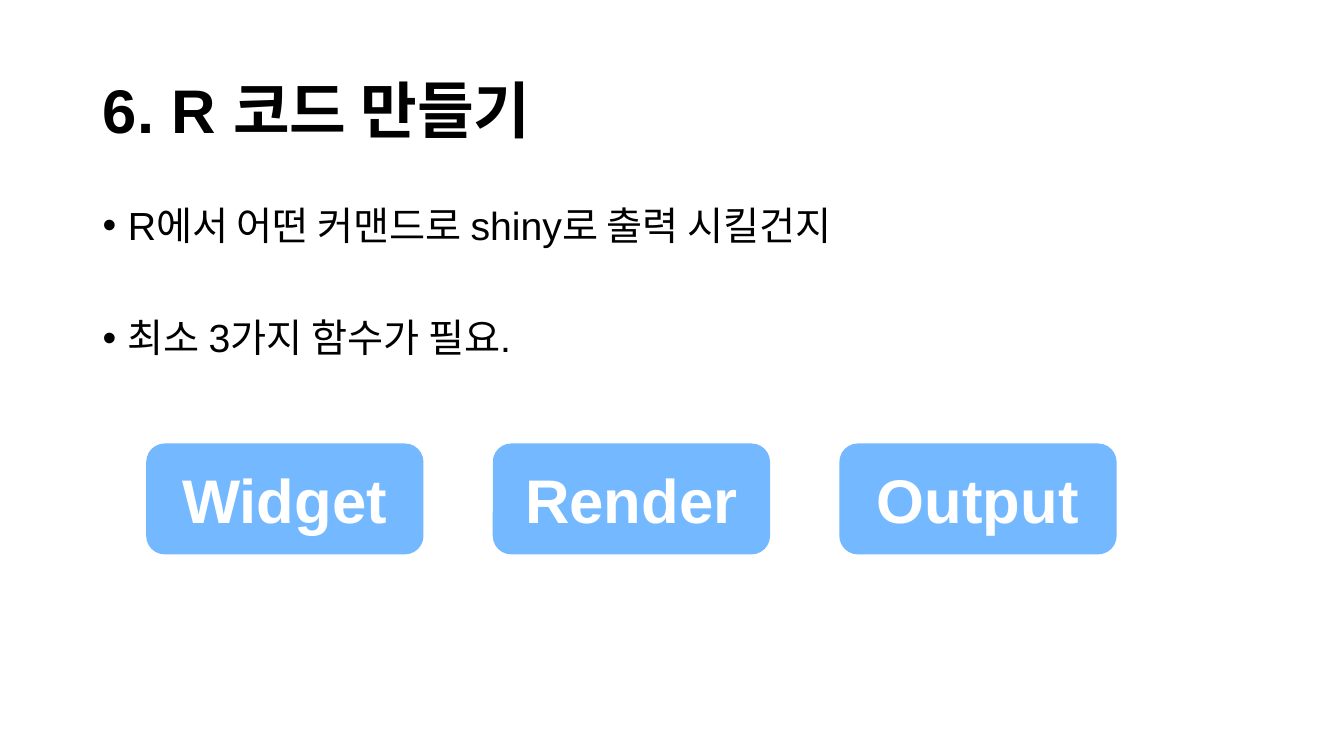
from pptx import Presentation
from pptx.dml.color import RGBColor
from pptx.enum.shapes import MSO_SHAPE
from pptx.enum.text import MSO_ANCHOR, MSO_AUTO_SIZE, PP_ALIGN
from pptx.oxml.ns import qn
from pptx.util import Inches, Pt
from lxml.etree import SubElement

TITLE = "6. R 코드 만들기"
BULLETS = ["R에서 어떤 커맨드로 shiny로 출력 시킬건지", "최소 3가지 함수가 필요."]
FUNCTIONS = ["Widget", "Render", "Output"]

WIDTH, HEIGHT = 13.33, 7.5
MARGIN, CONTENT_W = 0.92, 11.5
BOX_LEFT, BOX_TOP, BOX_W, BOX_H = 1.45, 4.4, 2.75, 1.1
BOX_PITCH = BOX_W * 1.25
BLACK, WHITE, BLUE = "000000", "FFFFFF", "74B9FF"


def rgb(color):
    """Turn a hex string into a colour."""
    return RGBColor.from_string(color)


def write(p, text, size=44, color=BLACK, bold=False, align=PP_ALIGN.LEFT,
          spacing=None, before=0, bullet=None):
    """Fill a paragraph with one formatted run."""
    p.alignment = align
    p.space_before = Pt(before)
    if spacing:
        p.line_spacing = spacing
    if bullet:
        pPr = p._p.get_or_add_pPr()
        pPr.set("marL", str(Inches(0.25)))
        pPr.set("indent", str(-Inches(0.25)))
        SubElement(pPr, qn("a:buFont")).set("typeface", "Arial")
        SubElement(pPr, qn("a:buChar")).set("char", bullet)
    r = p.add_run()
    r.text = text
    r.font.name = "Arial"
    r.font.size = Pt(size)
    r.font.bold = bold
    r.font.color.rgb = rgb(color)


def add_title(slide):
    """Place the slide title."""
    sp = slide.shapes.title
    sp.left, sp.top = Inches(MARGIN), Inches(0.4)
    sp.width, sp.height = Inches(CONTENT_W), Inches(1.45)
    tf = sp.text_frame
    tf.auto_size = MSO_AUTO_SIZE.NONE
    tf.vertical_anchor = MSO_ANCHOR.MIDDLE
    write(tf.paragraphs[0], TITLE, bold=True, spacing=0.9)


def add_bullets(slide):
    """Place the bulleted statements."""
    sp = slide.shapes.add_textbox(Inches(MARGIN), Inches(2),
                                  Inches(CONTENT_W), Inches(4.76))
    tf = sp.text_frame
    tf.word_wrap = True
    for i, text in enumerate(BULLETS):
        p = tf.add_paragraph() if i else tf.paragraphs[0]
        write(p, text, size=28, spacing=0.9, before=50 if i else 0, bullet="•")


def add_function_box(slide, col, name):
    """Place one function box in its column."""
    sp = slide.shapes.add_shape(
        MSO_SHAPE.ROUNDED_RECTANGLE, Inches(BOX_LEFT + col * BOX_PITCH),
        Inches(BOX_TOP), Inches(BOX_W), Inches(BOX_H))
    sp.shadow.inherit = False
    sp.fill.solid()
    sp.fill.fore_color.rgb = rgb(BLUE)
    sp.line.fill.background()
    tf = sp.text_frame
    tf.vertical_anchor = MSO_ANCHOR.MIDDLE
    tf.margin_left = tf.margin_right = Inches(0.04)
    tf.margin_top = tf.margin_bottom = Inches(0.04)
    write(tf.paragraphs[0], name, color=WHITE, bold=True, align=PP_ALIGN.CENTER)


def main():
    """Build and save the slide."""
    prs = Presentation()
    prs.slide_width, prs.slide_height = Inches(WIDTH), Inches(HEIGHT)
    slide = prs.slides.add_slide(prs.slide_layouts[5])
    add_title(slide)
    add_bullets(slide)
    for col, name in enumerate(FUNCTIONS):
        add_function_box(slide, col, name)
    prs.save("out.pptx")


if __name__ == "__main__":
    main()
